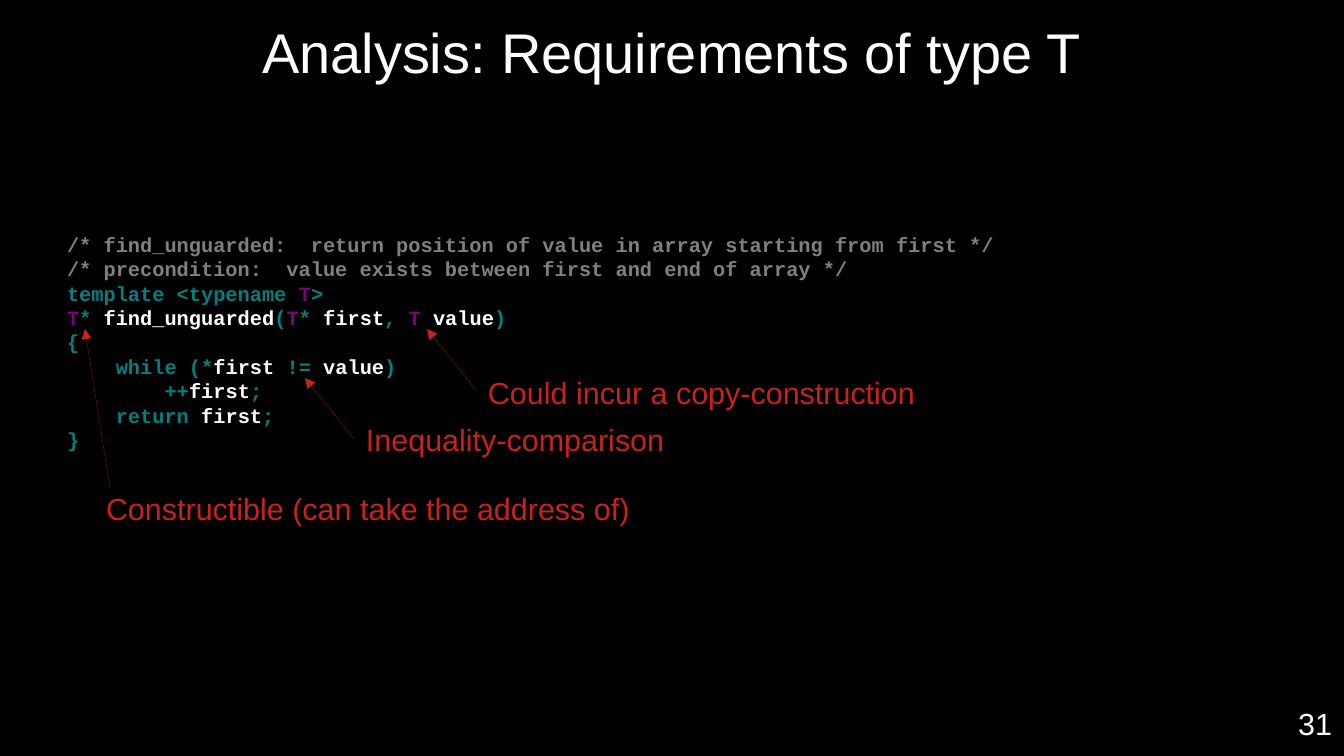
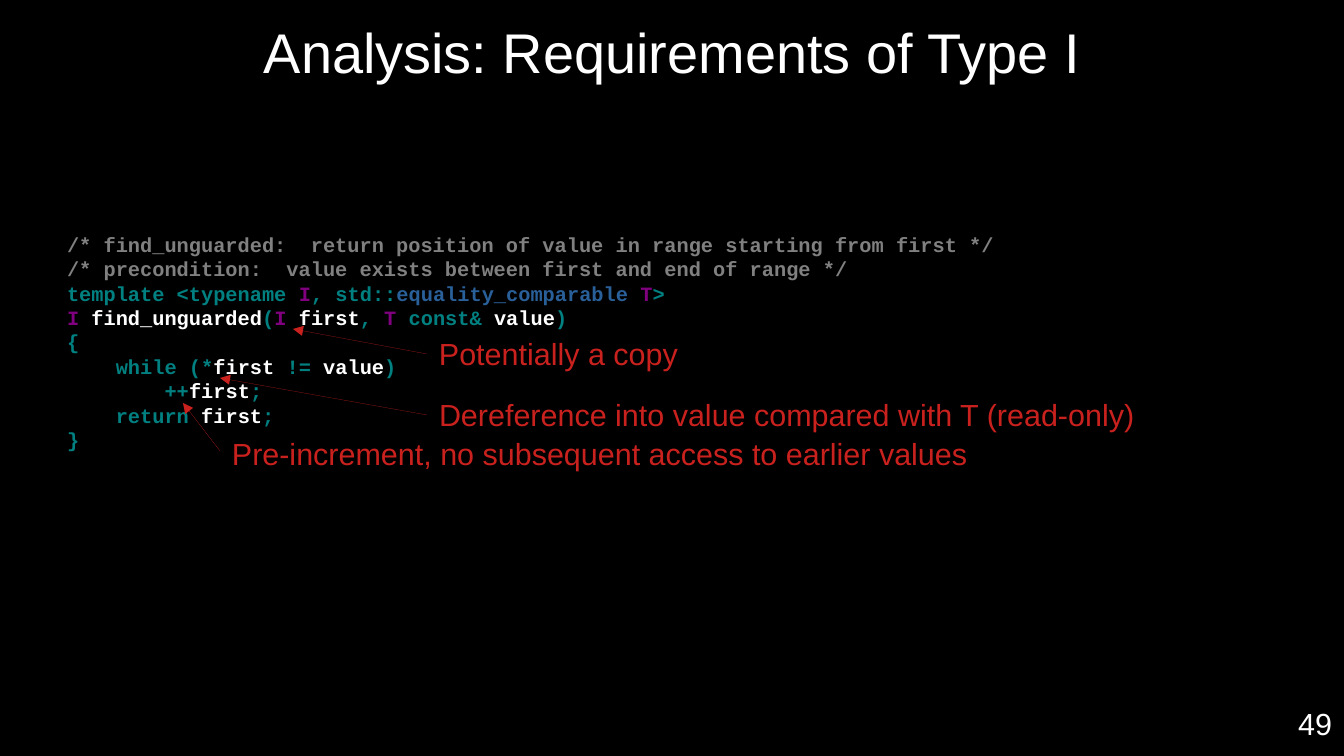
"""Build two code analysis slides with red notes and arrows."""
from dataclasses import dataclass

from lxml import etree
from pptx import Presentation, util as u
from pptx.dml.color import RGBColor
from pptx.enum import shapes, text
from pptx.oxml import ns
from pptx.slide import Slide
from pptx.text.text import TextFrame

SCALE = 914400 / 122
SIZE = (1344, 756)
BLACK = RGBColor(0x00, 0x00, 0x00)
WHITE = RGBColor(0xFF, 0xFF, 0xFF)
GRAY = RGBColor(0x80, 0x80, 0x80)
TEAL = RGBColor(0x00, 0x80, 0x80)
PLUM = RGBColor(0x80, 0x00, 0x80)
BLUE = RGBColor(0x2A, 0x60, 0x99)
RED = RGBColor(0xC9, 0x21, 0x1E)
SANS = "Arial"
MONO = "Courier New"
TITLE = (67, 4, 1210, 95)
CODE = (67, 232, 1210, 366)
NUMBER = (833, 699, 511, 57)
NOTE_H = 46

Run = tuple[str, RGBColor]
Line = list[Run]


@dataclass(frozen=True)
class Note:
    """A red note and the arrow that leads from it to the code."""
    words: str
    left: int
    top: int
    width: int
    tip: tuple[int, int]
    tail: tuple[int, int]


@dataclass(frozen=True)
class Page:
    """The content of one slide."""
    title: str
    number: int
    code: list[Line]
    notes: list[Note]


def px(count: int) -> u.Emu:
    """Turn pixels into EMU."""
    return u.Emu(round(count * SCALE))


def remark(place: str) -> list[Line]:
    """Give the two comment lines for a kind of sequence."""
    return [
        [(f"/* find_unguarded:  return position of value in {place} starting from first */", GRAY)],
        [(f"/* precondition:  value exists between first and end of {place} */", GRAY)],
    ]


BODY: list[Line] = [
    [("{", TEAL)],
    [("    while (*", TEAL), ("first", WHITE), (" != ", TEAL), ("value", WHITE), (")", TEAL)],
    [("        ++", TEAL), ("first", WHITE), (";", TEAL)],
    [("    return ", TEAL), ("first", WHITE), (";", TEAL)],
    [("}", TEAL)],
]

PAGES = [
    Page(
        "Analysis: Requirements of type T", 31,
        remark("array") + [
            [("template <typename ", TEAL), ("T", PLUM), (">", TEAL)],
            [("T", PLUM), ("* ", TEAL), ("find_unguarded", WHITE), ("(", TEAL), ("T", PLUM),
             ("* ", TEAL), ("first", WHITE), (", ", TEAL), ("T ", PLUM), ("value", WHITE),
             (")", TEAL)],
        ] + BODY,
        [
            Note("Could incur a copy-construction", 476, 368, 480, (427, 329), (476, 390)),
            Note("Inequality-comparison", 354, 415, 427, (305, 378), (354, 439)),
            Note("Constructible (can take the address of)", 94, 484, 560, (85, 329), (110, 488)),
        ],
    ),
    Page(
        "Analysis: Requirements of Type I", 49,
        remark("range") + [
            [("template <typename ", TEAL), ("I", PLUM), (", std::", TEAL),
             ("equality_comparable ", BLUE), ("T", PLUM), (">", TEAL)],
            [("I ", PLUM), ("find_unguarded", WHITE), ("(", TEAL), ("I ", PLUM), ("first", WHITE),
             (", ", TEAL), ("T", PLUM), (" const& ", TEAL), ("value", WHITE), (")", TEAL)],
        ] + BODY,
        [
            Note("Potentially a copy", 427, 329, 268, (293, 329), (427, 354)),
            Note("Pre-increment, no subsequent access to earlier values", 220, 429, 769,
                 (183, 403), (220, 451)),
            Note("Dereference into value compared with T (read-only)", 427, 390, 740,
                 (220, 378), (427, 415)),
        ],
    ),
]


def place(shape, box: tuple[int, int, int, int]) -> None:
    """Move a shape to a box given in pixels."""
    shape.left, shape.top, shape.width, shape.height = map(px, box)


def frame(body: TextFrame, anchor: text.MSO_ANCHOR) -> None:
    """Set a placeholder frame without insets or fitting."""
    body.margin_left = body.margin_right = body.margin_top = body.margin_bottom = 0
    body.vertical_anchor = anchor
    body.auto_size = text.MSO_AUTO_SIZE.NONE
    body.word_wrap = True


def label(body: TextFrame, words: str, size: int, color: RGBColor, align: text.PP_ALIGN) -> None:
    """Write one sans line in a frame."""
    line = body.paragraphs[0]
    line.text = words
    line.alignment = align
    line.font.name, line.font.size = SANS, u.Pt(size)
    line.font.color.rgb = color


def box(slide: Slide, area: tuple[int, int, int, int], words: str, color: RGBColor,
        align: text.PP_ALIGN) -> None:
    """Add a text box with one line."""
    body = slide.shapes.add_textbox(*map(px, area)).text_frame
    body.word_wrap = True
    label(body, words, 18, color, align)


def write(body: TextFrame, code: list[Line]) -> None:
    """Write coloured code lines in a frame."""
    for index, runs in enumerate(code):
        line = body.add_paragraph() if index else body.paragraphs[0]
        line.alignment = text.PP_ALIGN.LEFT
        line.space_before = u.Pt(0)
        line.line_spacing = u.Pt(14.4)
        line.font.name, line.font.size, line.font.bold = MONO, u.Pt(12), True
        for words, color in runs:
            run = line.add_run()
            run.text = words
            run.font.color.rgb = color


def arrow(slide: Slide, tip: tuple[int, int], tail: tuple[int, int]) -> None:
    """Draw a hairline with its head at the tip."""
    line = slide.shapes.add_connector(shapes.MSO_CONNECTOR.STRAIGHT, *map(px, tip + tail))
    line.line.color.rgb = RED
    props = line.element.spPr
    stroke = props.find(ns.qn("a:ln"))
    stroke.set("w", "0")
    etree.SubElement(stroke, ns.qn("a:headEnd"), type="triangle")
    etree.SubElement(props, ns.qn("a:effectLst"))


def draw(deck, page: Page) -> None:
    """Add one slide to the deck."""
    slide = deck.slides.add_slide(deck.slide_layouts[0])
    title, code = slide.placeholders
    frame(title.text_frame, text.MSO_ANCHOR.MIDDLE)
    label(title.text_frame, page.title, 33, WHITE, text.PP_ALIGN.CENTER)
    frame(code.text_frame, text.MSO_ANCHOR.TOP)
    write(code.text_frame, page.code)
    box(slide, NUMBER, str(page.number), WHITE, text.PP_ALIGN.RIGHT)
    for note in page.notes:
        arrow(slide, note.tip, note.tail)
        box(slide, (note.left, note.top, note.width, NOTE_H), note.words, RED,
            text.PP_ALIGN.LEFT)


def main() -> None:
    """Set up the shared layout and save both slides."""
    deck = Presentation()
    deck.slide_width, deck.slide_height = map(px, SIZE)
    fill = deck.slide_master.background.fill
    fill.solid()
    fill.fore_color.rgb = BLACK
    layout = deck.slide_layouts[0]
    for index, area in enumerate((TITLE, CODE)):
        place(layout.placeholders[index], area)
    for page in PAGES:
        draw(deck, page)
    deck.save("out.pptx")


if __name__ == "__main__":
    main()
